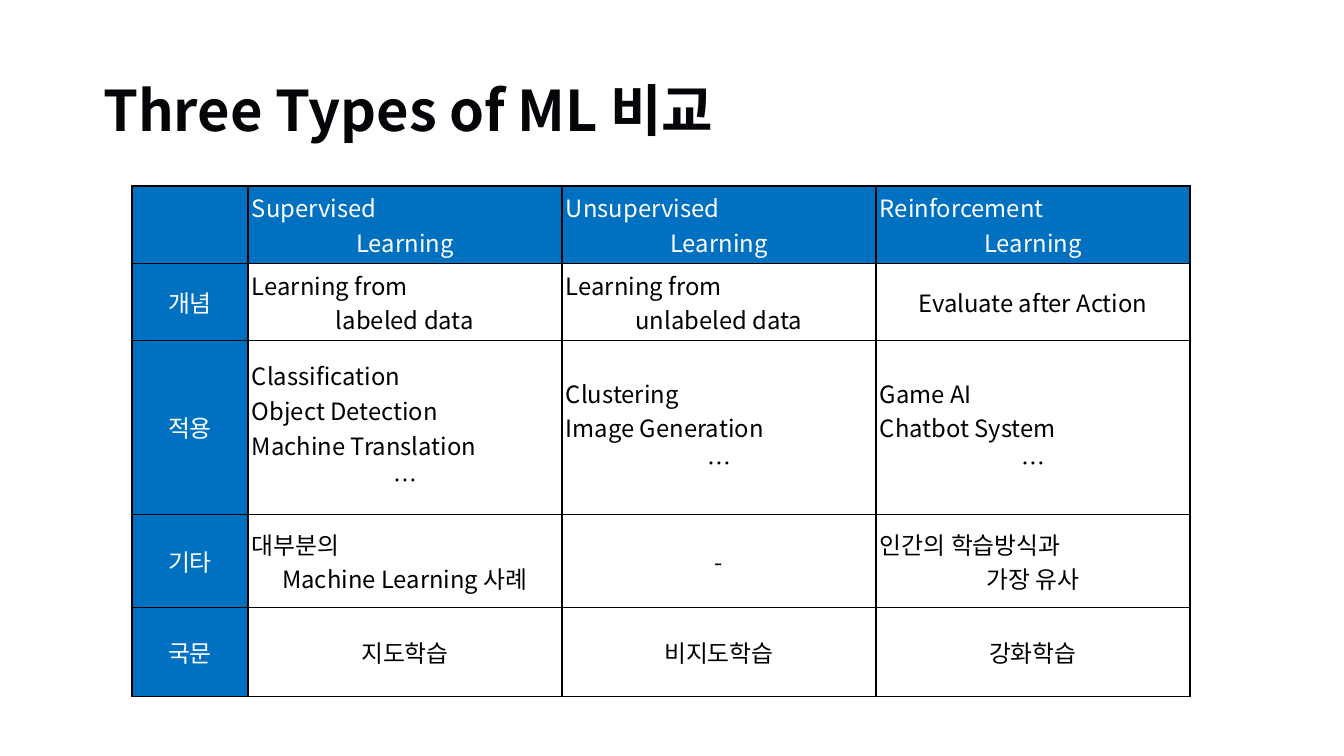
"""Build a slide with a table comparing three types of machine learning."""
import pptx
import pptx.dml.color
import pptx.enum.text
import pptx.oxml
import pptx.oxml.ns
import pptx.util
import lxml.etree

PX = 914400 / 100.8
FONT = "Noto Sans CJK KR"
COLORS = {"title": "060409", "header": "0070C0", "body": "FFFFFF",
          "header_text": "FFFFFF", "body_text": "000000", "border": "000000"}
ALIGN = pptx.enum.text.PP_ALIGN
MIDDLE = pptx.enum.text.MSO_ANCHOR.MIDDLE


def px(length):
    return pptx.util.Emu(round(length * PX))


def write_text(text_frame, text, size, color, bold=False, align=ALIGN.CENTER, spacing=None):
    paragraph = text_frame.paragraphs[0]
    paragraph.alignment = align
    paragraph.line_spacing = spacing
    run = paragraph.add_run()
    run.text = text
    run.font.size = pptx.util.Pt(size)
    run.font.bold = bold
    run.font.name = FONT
    run.font.color.rgb = pptx.dml.color.RGBColor.from_string(COLORS[color])
    east_asian = lxml.etree.SubElement(run.font._element, pptx.oxml.ns.qn("a:ea"))
    east_asian.set("typeface", FONT)


presentation = pptx.Presentation()
presentation.slide_width = px(1344)
presentation.slide_height = px(756)
slide = presentation.slides.add_slide(presentation.slide_layouts[5])

title = slide.shapes.title
title.left, title.top, title.width, title.height = px(93), px(40), px(1159), px(146)
title.text_frame.word_wrap = True
title.text_frame.auto_size = pptx.enum.text.MSO_AUTO_SIZE.NONE
title.text_frame.vertical_anchor = MIDDLE
write_text(title.text_frame, "Three Types of ML 비교", size=40, color="title",
           bold=True, align=ALIGN.LEFT, spacing=0.9)

column_widths = [116, 314, 314, 314]
row_heights = [77, 77, 174, 93, 89]
rows = [
    ["", "Supervised \nLearning", "Unsupervised\nLearning", "Reinforcement\nLearning"],
    ["개념", "Learning from\nlabeled data", "Learning from \nunlabeled data",
     "Evaluate after Action"],
    ["적용", "Classification\nObject Detection\nMachine Translation\n…",
     "Clustering\nImage Generation\n…", "Game AI\nChatbot System\n…"],
    ["기타", "대부분의 \nMachine Learning 사례", "-", "인간의 학습방식과 \n가장 유사"],
    ["국문", "지도학습", "비지도학습", "강화학습"],
]

table = slide.shapes.add_table(len(rows), len(column_widths), px(132), px(186),
                               px(sum(column_widths)), px(sum(row_heights))).table
table.first_row = False
table.horz_banding = False
for column, width in zip(table.columns, column_widths):
    column.width = px(width)
for row, height in zip(table.rows, row_heights):
    row.height = px(height)

for row_index, texts in enumerate(rows):
    for column_index, text in enumerate(texts):
        cell = table.cell(row_index, column_index)
        kind = "header" if row_index == 0 or column_index == 0 else "body"
        cell.margin_left = cell.margin_right = px(4)
        cell.margin_top = cell.margin_bottom = px(4)
        cell.vertical_anchor = MIDDLE
        properties = cell._tc.get_or_add_tcPr()
        for side in ("lnL", "lnR", "lnT", "lnB"):
            properties.append(pptx.oxml.parse_xml(
                f'<a:{side} {pptx.oxml.ns.nsdecls("a")} w="{pptx.util.Pt(1)}"><a:solidFill>'
                f'<a:srgbClr val="{COLORS["border"]}"/></a:solidFill></a:{side}>'))
        cell.fill.solid()
        cell.fill.fore_color.rgb = pptx.dml.color.RGBColor.from_string(COLORS[kind])
        if text:
            write_text(cell.text_frame, text, size=17, color=kind + "_text")

presentation.save("out.pptx")
